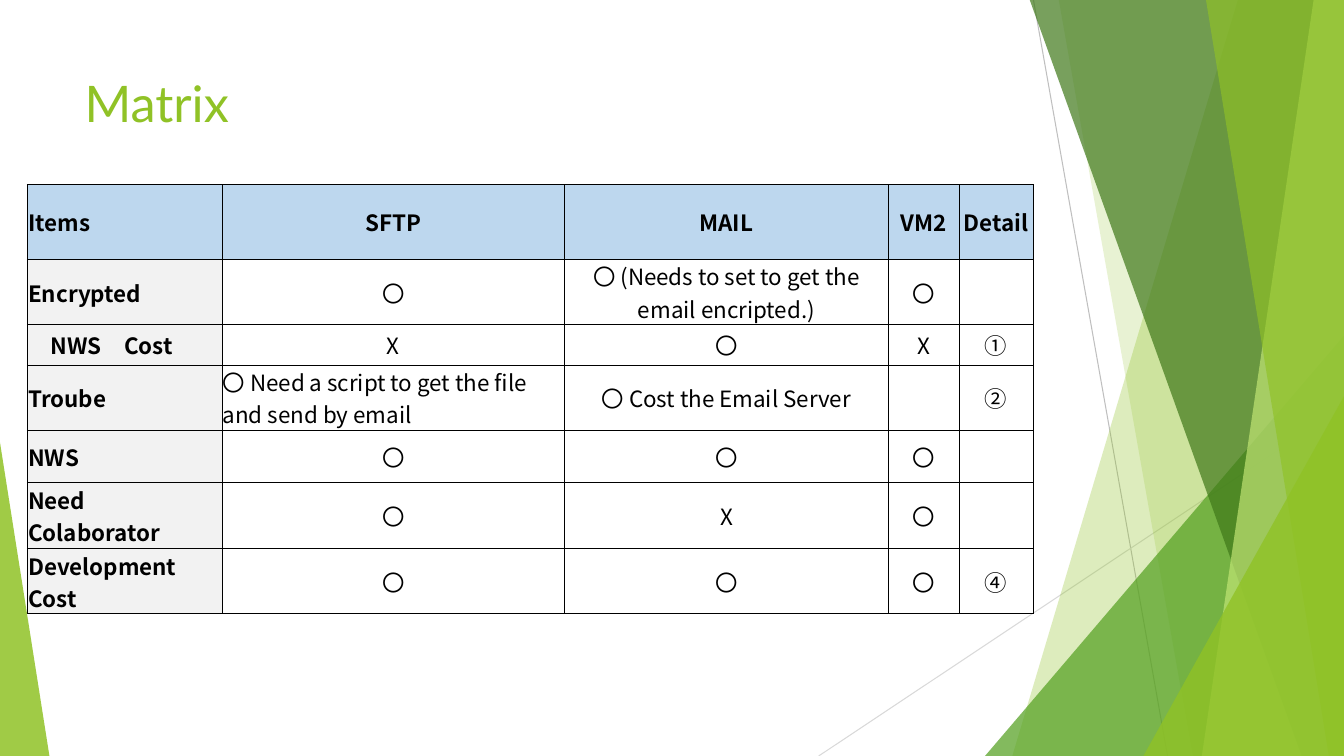
"""Build the Matrix slide: a comparison table on a faceted green backdrop."""
import dataclasses

import lxml.etree
import pptx
import pptx.dml.color
import pptx.dml.fill
import pptx.enum.shapes
import pptx.enum.text
import pptx.oxml.ns
import pptx.shapes.autoshape
import pptx.slide
import pptx.table
import pptx.text.text
import pptx.util

Inches = pptx.util.Inches
Align = pptx.enum.text.PP_ALIGN
qn = pptx.oxml.ns.qn

WIDE, HIGH, TOP = 13.33, 7.5, -0.01
GREEN, BLACK = "90C226", "000000"
HEAD, SIDE = "BDD7EE", "F2F2F2"
COLS = [1.93, 3.4, 3.21, 0.7, 0.74]
TALL = 0.65
ROWS = [0.74, TALL, 0.4, TALL, 0.52, TALL, TALL]
YES = "〇"
CELLS = [
    ["Items", "SFTP", "MAIL", "VM2", "Detail"],
    ["Encrypted", YES, f"{YES} (Needs to set to get the email encripted.)", YES, ""],
    ["\u3000NWS\u3000Cost", "X", YES, "X", "①"],
    ["Troube", f"{YES} Need a script to get the file and send by email",
     f"{YES} Cost the Email Server", "", "②"],
    ["NWS", YES, YES, YES, ""],
    ["Need Colaborator", YES, "X", YES, ""],
    ["Development Cost", YES, YES, YES, "④"],
]
LEFT = {(3, 1)}


@dataclasses.dataclass
class Ray:
    """A thin line across the backdrop."""
    start: tuple[float, float]
    end: tuple[float, float]
    color: str


@dataclasses.dataclass
class Band:
    """A facet that runs from the top to the bottom of the right edge."""
    top: float
    foot: float
    color: str
    alpha: int


@dataclasses.dataclass
class Wedge:
    """A right triangle that stands on the bottom edge."""
    left: float
    top: float
    width: float
    peak: float
    color: str
    alpha: int


RAYS = [
    Ray((10.25, 0), (11.58, HIGH), "BFBFBF"),
    Ray((WIDE, 4.03), (8.12, HIGH), "D9D9D9"),
]
FACETS = [
    Band(12.28, 10.04, GREEN, 30),
    Band(10.5, 11.83, GREEN, 20),
    Wedge(9.77, 3.33, 3.56, 1, "54A021", 72),
    Band(10.21, 12.91, "3F7819", 70),
    Band(13.03, 11.92, "C0E474", 70),
    Band(11.96, 13.18, GREEN, 65),
    Wedge(11.34, 3.93, 1.99, 1, GREEN, 80),
    Wedge(0, 4.39, 0.49, 0, GREEN, 85),
]


def paint(fill: pptx.dml.fill.FillFormat, color: str) -> None:
    """Make a fill solid in a hex colour."""
    fill.solid()
    fill.fore_color.rgb = pptx.dml.color.RGBColor.from_string(color)


def style(text: pptx.text.text.TextFrame, font: str, size: int,
          color: str, bold: bool = False) -> None:
    """Format every run of a text frame."""
    for para in text.paragraphs:
        for run in para.runs:
            run.font.size = pptx.util.Pt(size)
            run.font.bold = bold
            run.font.name = font
            paint(run.font.fill, color)
            east = lxml.etree.SubElement(run.font._element, qn("a:ea"))
            east.set("typeface", font)


def draw_ray(slide: pptx.slide.Slide, ray: Ray) -> None:
    """Draw one thin line without a shadow."""
    line = slide.shapes.add_connector(
        pptx.enum.shapes.MSO_CONNECTOR.STRAIGHT,
        *map(Inches, ray.start + ray.end))
    paint(line.line.fill, ray.color)
    line.line.width = pptx.util.Pt(0.75)
    lxml.etree.SubElement(line._element.spPr, qn("a:effectLst"))


def form_band(slide: pptx.slide.Slide, band: Band) -> pptx.shapes.autoshape.Shape:
    """Outline one band."""
    spots = [(band.top, TOP), (WIDE, TOP), (WIDE, HIGH), (band.foot, HIGH)]
    first, *rest = [(Inches(x), Inches(y)) for x, y in spots]
    pen = slide.shapes.build_freeform(*first)
    pen.add_line_segments(rest, close=True)
    return pen.convert_to_shape()


def form_wedge(slide: pptx.slide.Slide, wedge: Wedge) -> pptx.shapes.autoshape.Shape:
    """Place one triangle."""
    shape = slide.shapes.add_shape(
        pptx.enum.shapes.MSO_SHAPE.ISOSCELES_TRIANGLE,
        Inches(wedge.left), Inches(wedge.top),
        Inches(wedge.width), Inches(HIGH - wedge.top))
    shape.adjustments[0] = wedge.peak
    return shape


def draw_facet(slide: pptx.slide.Slide, facet: Band | Wedge) -> None:
    """Draw one see-through facet."""
    form = form_band if isinstance(facet, Band) else form_wedge
    shape = form(slide, facet)
    shape.shadow.inherit = False
    shape.line.fill.background()
    paint(shape.fill, facet.color)
    tint = next(shape._element.spPr.iter(qn("a:srgbClr")))
    lxml.etree.SubElement(tint, qn("a:alpha")).set("val", str(facet.alpha * 1000))


def draw_title(slide: pptx.slide.Slide) -> None:
    """Write the title."""
    box = slide.shapes.add_textbox(
        Inches(0.74), Inches(0.67), Inches(9.4), Inches(1.44))
    box.text_frame.word_wrap = True
    box.text_frame.text = "Matrix"
    style(box.text_frame, "Lato", 36, GREEN)


def frame_cell(cell: pptx.table._Cell) -> None:
    """Give a cell thin black borders on all sides."""
    props = cell._tc.get_or_add_tcPr()
    for side in ("a:lnL", "a:lnR", "a:lnT", "a:lnB"):
        edge = lxml.etree.SubElement(props, qn(side), w=str(pptx.util.Pt(0.5)))
        fill = lxml.etree.SubElement(edge, qn("a:solidFill"))
        lxml.etree.SubElement(fill, qn("a:srgbClr"), val=BLACK)


def fill_cell(cell: pptx.table._Cell, row: int, col: int) -> None:
    """Write and style one cell by its place in the table."""
    cell.margin_left = cell.margin_right = cell.margin_top = Inches(0.01)
    cell.margin_bottom = 0
    cell.vertical_anchor = pptx.enum.text.MSO_ANCHOR.MIDDLE
    frame_cell(cell)
    label = row == 0 or col == 0
    if label:
        paint(cell.fill, HEAD if row == 0 else SIDE)
    else:
        cell.fill.background()
    cell.text_frame.text = CELLS[row][col]
    flush = col == 0 or (row, col) in LEFT
    cell.text_frame.paragraphs[0].alignment = Align.LEFT if flush else Align.CENTER
    style(cell.text_frame, "Noto Sans CJK JP", 16, BLACK, label)


def draw_table(slide: pptx.slide.Slide) -> None:
    """Draw the comparison table."""
    table = slide.shapes.add_table(
        len(ROWS), len(COLS), Inches(0.27), Inches(1.83),
        Inches(sum(COLS)), Inches(sum(ROWS))).table
    table.first_row = table.horz_banding = False
    for col, width in enumerate(COLS):
        table.columns[col].width = Inches(width)
    for row, height in enumerate(ROWS):
        table.rows[row].height = Inches(height)
        for col in range(len(COLS)):
            fill_cell(table.cell(row, col), row, col)


deck = pptx.Presentation()
deck.slide_width, deck.slide_height = Inches(WIDE), Inches(HIGH)
page = deck.slides.add_slide(deck.slide_layouts[6])
for ray in RAYS:
    draw_ray(page, ray)
for facet in FACETS:
    draw_facet(page, facet)
draw_title(page)
draw_table(page)
deck.save("out.pptx")
